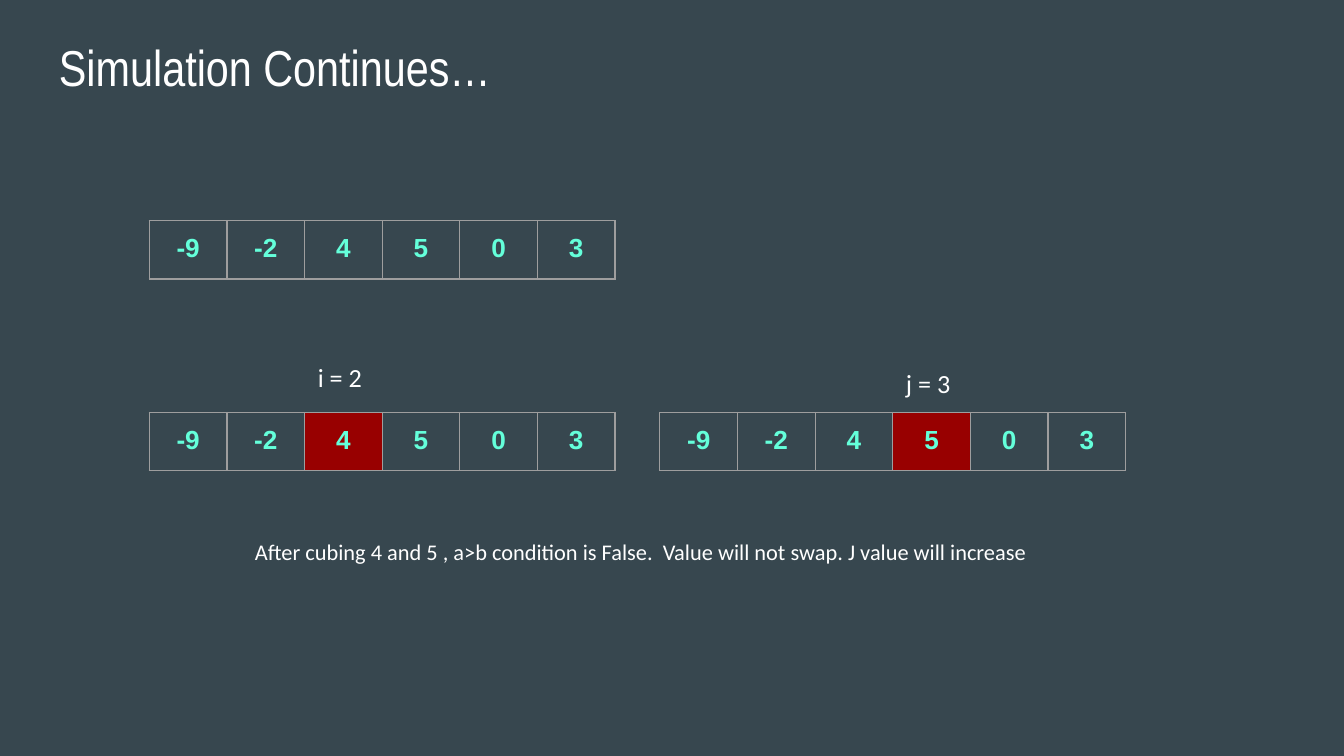
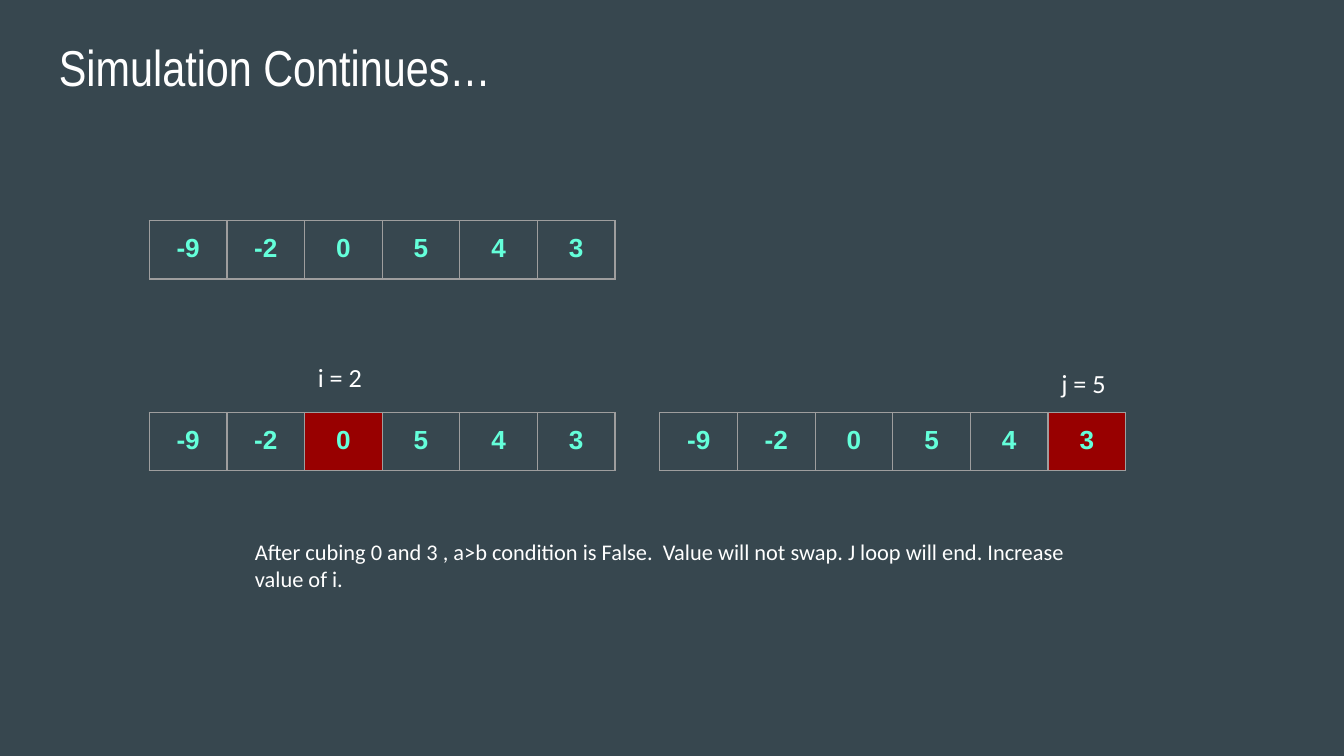
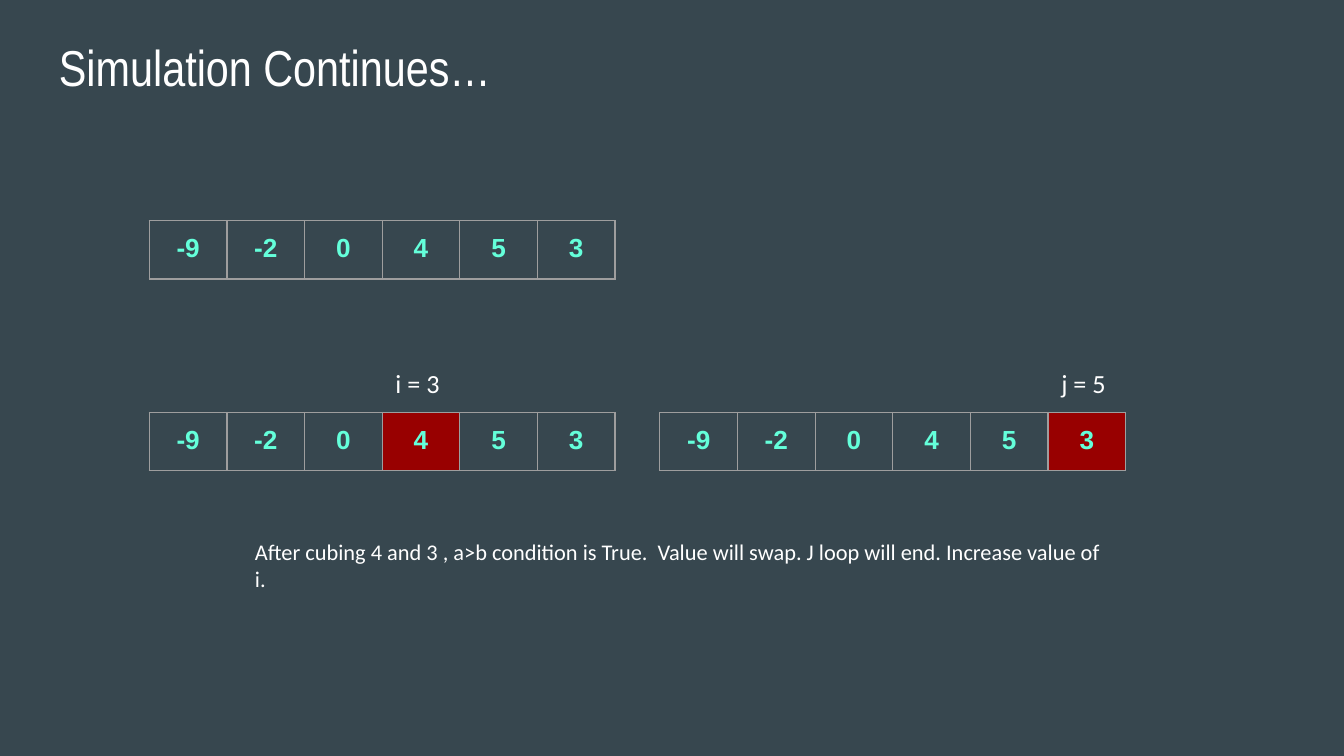
from dataclasses import dataclass

from lxml import etree
from pptx import Presentation
from pptx.dml.color import RGBColor
from pptx.enum import text
from pptx.oxml import ns
from pptx.slide import Slide
from pptx.util import Pt

# Shared colours, fonts and measures (points)
SLATE = RGBColor(0x37, 0x47, 0x4F)
MINT = RGBColor(0x64, 0xFF, 0xDA)
RED = RGBColor(0x98, 0x00, 0x00)
GREY = RGBColor(0x9E, 0x9E, 0x9E)
WHITE = RGBColor(0xFF, 0xFF, 0xFF)
TITLE = "Simulation Continues…"
TITLE_FONT, BODY_FONT, CELL_FONT = "Arial Narrow", "Calibri", "Arial"
INSET = 7.2
CELL_WIDTH = 41.6
LEFT_I, LEFT_J = 80, 353.5
TOP_ARRAY, TOP_POINTERS = 118.25, 221
TALL_ROW, SHORT_ROW = 31, 30.25


@dataclass
class Label:
    text: str
    left: float
    top: float
    width: float
    height: float
    size: float
    font: str = BODY_FONT
    grows: bool = True


@dataclass
class ArrayRow:
    values: list[int]
    left: float
    top: float
    height: float
    marked: int | None = None


@dataclass
class Step:
    values: list[int]
    i: int
    j: int
    note: str
    note_height: float
    i_label_top: float


STEPS = [
    Step([-9, -2, 4, 5, 0, 3], 2, 3,
         "After cubing 4 and 5 , a>b condition is False.  "
         "Value will not swap. J value will increase", 29, 186.5),
    Step([-9, -2, 0, 5, 4, 3], 2, 5,
         "After cubing 0 and 3 , a>b condition is False.  "
         "Value will not swap. J loop will end. Increase value of i.", 44, 186.5),
    Step([-9, -2, 0, 4, 5, 3], 3, 5,
         "After cubing 4 and 3 , a>b condition is True.  "
         "Value will swap. J loop will end. Increase value of i.", 44, 189.5),
]


def add_label(slide: Slide, label: Label) -> None:
    shape = slide.shapes.add_textbox(
        Pt(label.left), Pt(label.top), Pt(label.width), Pt(label.height))
    frame = shape.text_frame
    frame.word_wrap = True
    frame.margin_left = frame.margin_right = Pt(INSET)
    frame.margin_top = frame.margin_bottom = Pt(INSET)
    if label.grows:
        frame.auto_size = text.MSO_AUTO_SIZE.SHAPE_TO_FIT_TEXT
    frame.text = label.text
    font = frame.paragraphs[0].runs[0].font
    font.name, font.size = label.font, Pt(label.size)
    font.color.rgb = WHITE


def add_borders(cell) -> None:
    """Outline the cell; borders come before the fill in the cell properties."""
    properties = cell._tc.get_or_add_tcPr()
    for position, side in enumerate(("lnL", "lnR", "lnT", "lnB")):
        line = etree.Element(ns.qn(f"a:{side}"), w=str(Pt(0.75)))
        fill = etree.SubElement(line, ns.qn("a:solidFill"))
        etree.SubElement(fill, ns.qn("a:srgbClr"), val=str(GREY))
        properties.insert(position, line)


def add_array(slide: Slide, row: ArrayRow) -> None:
    count = len(row.values)
    table = slide.shapes.add_table(
        1, count, Pt(row.left), Pt(row.top),
        Pt(count * CELL_WIDTH), Pt(row.height)).table
    table.first_row = table.horz_banding = False
    for index, value in enumerate(row.values):
        table.columns[index].width = Pt(CELL_WIDTH)
        cell = table.cell(0, index)
        cell.margin_left = cell.margin_right = Pt(INSET)
        cell.margin_top = cell.margin_bottom = Pt(INSET)
        cell.fill.solid()
        cell.fill.fore_color.rgb = RED if index == row.marked else SLATE
        add_borders(cell)
        paragraph = cell.text_frame.paragraphs[0]
        paragraph.text = str(value)
        paragraph.alignment = text.PP_ALIGN.CENTER
        font = paragraph.runs[0].font
        font.name, font.size, font.bold = CELL_FONT, Pt(14), True
        font.color.rgb = MINT


def add_pointer(slide: Slide, name: str, index: int,
                array_left: float, top: float) -> None:
    """Place the index label over the cell it points at."""
    left = array_left + index * CELL_WIDTH
    add_label(slide, Label(f"{name} = {index}", left, top, CELL_WIDTH, 31.5, 14))


def add_step(presentation, step: Step) -> None:
    slide = presentation.slides.add_slide(presentation.slide_layouts[6])
    slide.background.fill.solid()
    slide.background.fill.fore_color.rgb = SLATE
    add_label(slide, Label(TITLE, 24.5, 12.25, 671, 45, 27, TITLE_FONT, False))

    # Current array, then the same array with each index marked
    add_array(slide, ArrayRow(step.values, LEFT_I, TOP_ARRAY, TALL_ROW))
    add_array(slide, ArrayRow(step.values, LEFT_I, TOP_POINTERS, SHORT_ROW, step.i))
    add_array(slide, ArrayRow(step.values, LEFT_J, TOP_POINTERS, TALL_ROW, step.j))
    add_pointer(slide, "i", step.i, LEFT_I, step.i_label_top)
    add_pointer(slide, "j", step.j, LEFT_J, 189.5)

    # Outcome of the comparison
    add_label(slide, Label(step.note, 129.5, 281, 470, step.note_height, 12))


def main() -> None:
    presentation = Presentation()
    presentation.slide_width, presentation.slide_height = Pt(720), Pt(405)
    for step in STEPS:
        add_step(presentation, step)
    presentation.save("out.pptx")


if __name__ == "__main__":
    main()
